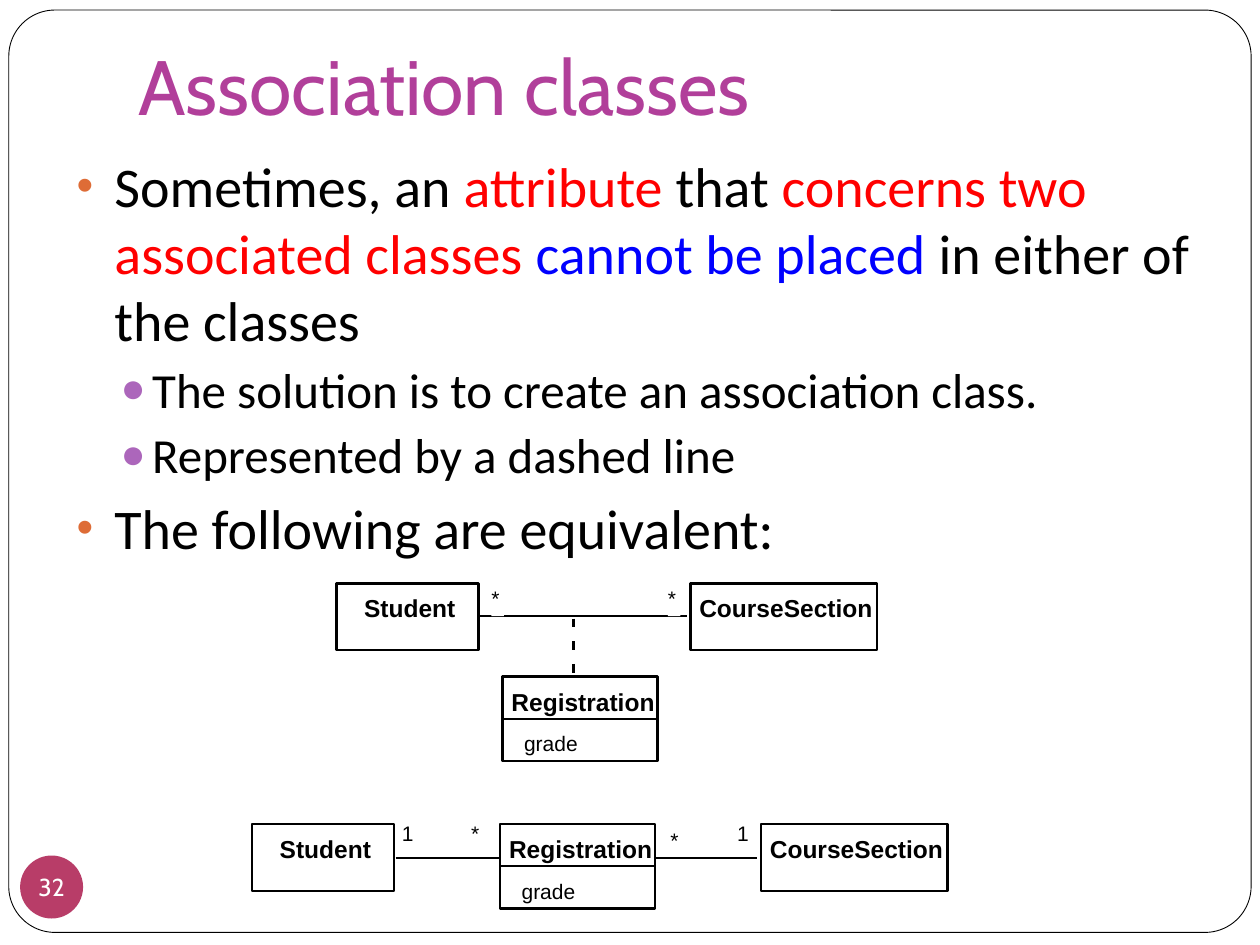
from dataclasses import dataclass

from lxml import etree
from pptx import Presentation
from pptx.dml.color import RGBColor
from pptx.enum.shapes import MSO_CONNECTOR, MSO_SHAPE
from pptx.enum.text import MSO_ANCHOR, MSO_AUTO_SIZE, PP_ALIGN
from pptx.oxml.ns import qn
from pptx.util import Inches, Pt

STRAIGHT = MSO_CONNECTOR.STRAIGHT
RECTANGLE = MSO_SHAPE.RECTANGLE
ROUNDED = MSO_SHAPE.ROUNDED_RECTANGLE
OVAL = MSO_SHAPE.OVAL
MIDDLE = MSO_ANCHOR.MIDDLE
BOTTOM = MSO_ANCHOR.BOTTOM
CENTER = PP_ALIGN.CENTER
GROW = MSO_AUTO_SIZE.SHAPE_TO_FIT_TEXT

COLORS = {
    "black": "000000",
    "white": "FFFFFF",
    "title": "B13F9A",
    "badge": "B83D68",
    "red": "FF0000",
    "blue": "0000FF",
    "orange": "DE6C36",
    "violet": "AC66BB",
}
STROKE = 1.39
CLASS_HEIGHT = 0.53
RECORD_HEIGHT = 0.67


@dataclass(frozen=True)
class Level:
    bullet: str
    color: str
    margin: float
    indent: float
    size: int
    before: float


@dataclass(frozen=True)
class Point:
    level: Level
    phrases: tuple


@dataclass(frozen=True)
class UmlClass:
    name: str
    left: float
    top: float
    width: float
    name_offset: float
    name_width: float
    attribute: str = ""


@dataclass(frozen=True)
class Multiplicity:
    text: str
    left: float
    top: float
    width: float = 0.07
    masked: bool = False


MAIN = Level("•", "orange", 0.3, -0.3, 32, 5.8)
SUB = Level("●", "violet", 0.6, -0.25, 28, 3.7)

POINTS = (
    Point(MAIN, (
        ("Sometimes, an ", "black"),
        ("attribute ", "red"),
        ("that ", "black"),
        ("concerns two associated classes ", "red"),
        ("cannot be placed", "blue"),
        (" in either of the classes", "black"),
    )),
    Point(SUB, (("The solution is to create an association class.", "black"),)),
    Point(SUB, (("Represented by a dashed line", "black"),)),
    Point(MAIN, (("The following are equivalent:", "black"),)),
)


def student(left: float, top: float) -> UmlClass:
    return UmlClass("Student", left, top, 1.13, 0.22, 0.73)


def course_section(left: float, top: float) -> UmlClass:
    return UmlClass("CourseSection", left, top, 1.48, 0.07, 1.38)


def registration(left: float, top: float) -> UmlClass:
    return UmlClass("Registration", left, top, 1.23, 0.07, 1.14, "grade")


CLASSES = (
    registration(3.99, 5.37), student(2.67, 4.63), course_section(5.48, 4.63),
    registration(3.97, 6.54), student(2, 6.54), course_section(6.04, 6.54),
)
ASSOCIATIONS = ((3.79, 5.45, 4.89), (3.14, 3.97, 6.81), (5.19, 6.01, 6.81))
MULTIPLICITIES = (
    Multiplicity("*", 3.9, 4.65, masked=True),
    Multiplicity("*", 5.3, 4.65, masked=True),
    Multiplicity("1", 3.19, 6.51, 0.1),
    Multiplicity("*", 3.74, 6.51, 0.1),
    Multiplicity("*", 5.32, 6.57),
    Multiplicity("1", 5.85, 6.51, 0.1),
)


def rgb(name: str) -> RGBColor:
    return RGBColor.from_string(COLORS[name])


def add_shape(slide, preset, left: float, top: float, width: float, height: float,
              fill: str = "", line: float = 0):
    shape = slide.shapes.add_shape(
        preset, Inches(left), Inches(top), Inches(width), Inches(height))
    shape.shadow.inherit = False
    if fill:
        shape.fill.solid()
        shape.fill.fore_color.rgb = rgb(fill)
    else:
        shape.fill.background()
    if line:
        shape.line.color.rgb = rgb("black")
        shape.line.width = Pt(line)
    else:
        shape.line.fill.background()
    return shape


def add_line(slide, x1: float, y1: float, x2: float, y2: float) -> None:
    line = slide.shapes.add_connector(
        STRAIGHT, Inches(x1), Inches(y1), Inches(x2), Inches(y2))
    line.line.color.rgb = rgb("black")
    line.line.width = Pt(STROKE)
    etree.SubElement(line._element.spPr, qn("a:effectLst"))


def add_run(paragraph, text: str, size: int, font: str, color: str,
            bold: bool = False) -> None:
    run = paragraph.add_run()
    run.text = text
    run.font.size = Pt(size)
    run.font.name = font
    run.font.bold = bold
    run.font.color.rgb = rgb(color)


def add_frame(slide, left: float, top: float, width: float, height: float):
    box = slide.shapes.add_textbox(
        Inches(left), Inches(top), Inches(width), Inches(height))
    box.text_frame.word_wrap = True
    return box.text_frame


def clear_margins(frame) -> None:
    frame.margin_left = frame.margin_right = Inches(0)
    frame.margin_top = frame.margin_bottom = Inches(0)
    frame.word_wrap = False


def add_label(slide, text: str, left: float, top: float, width: float,
              size: int = 12, bold: bool = False) -> None:
    frame = add_frame(slide, left, top, width, size / 60)
    clear_margins(frame)
    frame.auto_size = GROW
    add_run(frame.paragraphs[0], text, size, "Arial", "black", bold)


def add_uml_class(slide, uml: UmlClass) -> None:
    height = RECORD_HEIGHT if uml.attribute else CLASS_HEIGHT
    add_shape(slide, RECTANGLE, uml.left, uml.top, uml.width, height, line=STROKE)
    add_label(slide, uml.name, uml.left + uml.name_offset, uml.top + 0.08,
              uml.name_width, 14, True)
    if uml.attribute:
        divider = uml.top + RECORD_HEIGHT / 2
        add_line(slide, uml.left + 0.01, divider, uml.left + uml.width - 0.01, divider)
        add_label(slide, uml.attribute, uml.left + 0.17, uml.top + 0.43, 0.43)


def add_multiplicity(slide, mark: Multiplicity) -> None:
    if mark.masked:
        add_shape(slide, RECTANGLE, mark.left, mark.top, 0.1, 0.24, "white")
    add_label(slide, mark.text, mark.left, mark.top, mark.width)


def add_bullet(paragraph, level: Level) -> None:
    props = paragraph._p.get_or_add_pPr()
    props.set("marL", str(Inches(level.margin)))
    props.set("indent", str(Inches(level.indent)))
    color = etree.SubElement(props, qn("a:buClr"))
    etree.SubElement(color, qn("a:srgbClr"), val=COLORS[level.color])
    etree.SubElement(props, qn("a:buSzPct"), val="85000")
    etree.SubElement(props, qn("a:buFont"), typeface="Arial")
    etree.SubElement(props, qn("a:buChar"), char=level.bullet)


def add_points(slide) -> None:
    frame = add_frame(slide, 0.51, 1.15, 9.29, 6.14)
    for index, point in enumerate(POINTS):
        paragraph = frame.add_paragraph() if index else frame.paragraphs[0]
        add_bullet(paragraph, point.level)
        if point.level is SUB:
            paragraph.level = 1
        if index:
            paragraph.space_before = Pt(point.level.before)
        for text, color in point.phrases:
            add_run(paragraph, text, point.level.size, "Calibri", color)


def add_title(slide) -> None:
    frame = add_frame(slide, 1, -0.11, 8.5, 1.25)
    frame.margin_bottom = Inches(0.1)
    frame.vertical_anchor = BOTTOM
    add_run(frame.paragraphs[0], "Association classes", 44, "Cabin", "title")


def add_page_number(slide) -> None:
    frame = add_shape(slide, OVAL, 0.16, 6.79, 0.5, 0.5, "badge").text_frame
    clear_margins(frame)
    frame.vertical_anchor = MIDDLE
    frame.paragraphs[0].alignment = CENTER
    add_run(frame.paragraphs[0], "32", 14, "Cabin", "white")


def main() -> None:
    deck = Presentation()
    deck.slide_width, deck.slide_height = Inches(10), Inches(7.5)
    slide = deck.slides.add_slide(deck.slide_layouts[6])
    border = add_shape(slide, ROUNDED, 0.07, 0.08, 9.86, 7.32, "white", 0.5)
    border.adjustments[0] = 0.05
    add_page_number(slide)
    add_title(slide)
    add_points(slide)
    for uml in CLASSES:
        add_uml_class(slide, uml)
    for start, end, y in ASSOCIATIONS:
        add_line(slide, start, y, end, y)
    for dash in range(3):
        top = 4.91 + 0.18 * dash
        add_line(slide, 4.55, top, 4.55, top + 0.07)
    for mark in MULTIPLICITIES:
        add_multiplicity(slide, mark)
    deck.save("out.pptx")


if __name__ == "__main__":
    main()
